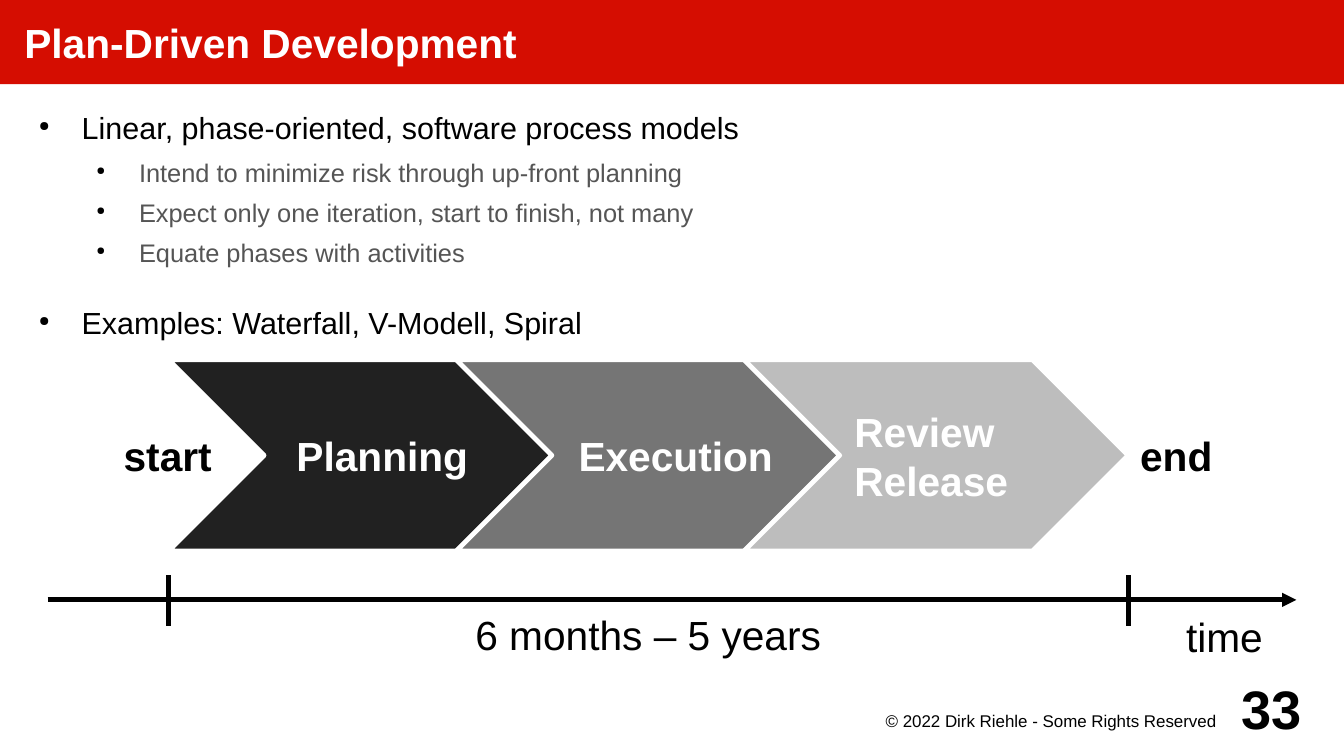
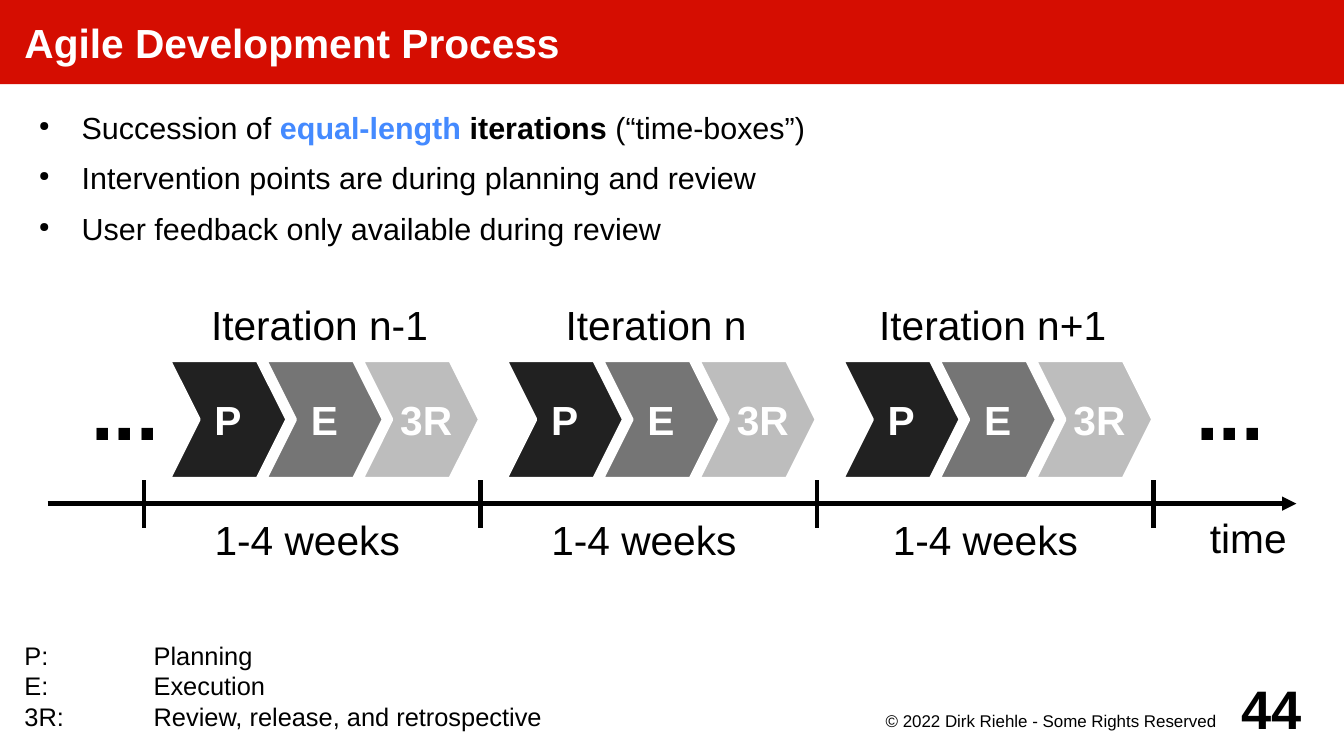
from dataclasses import dataclass
from typing import Any

from lxml import etree
from pptx import Presentation
from pptx.dml.color import RGBColor
from pptx.enum.shapes import MSO_CONNECTOR as Connector, MSO_SHAPE as Preset
from pptx.enum.text import MSO_ANCHOR as Anchor, PP_ALIGN as Align
from pptx.oxml.ns import qn
from pptx.util import Inches, Pt

COLORS = {
    "band": "D50D01",
    "white": "FFFFFF",
    "black": "000000",
    "detail": "555555",
    "accent": "448AFF",
    "planning": "212121",
    "execution": "757575",
    "review": "BDBDBD",
}
FONT = "Arial"
WIDTH, HEIGHT = 11.02, 6.2
AXIS_LEFT, AXIS_RIGHT = 0.39, 10.63
CHEVRON_TOP = 2.95
PAD = (0.08, 0.08, 0.08, 0.08)
LABEL_PAD = (0, 0.08, 0.08, 0.08)


@dataclass(frozen=True)
class Area:
    left: float
    top: float
    width: float
    height: float

    def lengths(self) -> list[Any]:
        return [Inches(n) for n in (self.left, self.top, self.width, self.height)]


@dataclass(frozen=True)
class Style:
    size: float = 24
    color: str = "black"
    bold: bool = False
    align: Any = Align.CENTER
    anchor: Any = Anchor.MIDDLE
    insets: tuple[float, float, float, float] = PAD


@dataclass(frozen=True)
class Phase:
    label: str
    color: str
    indent: float = 0.08
    align: Any = Align.CENTER


@dataclass(frozen=True)
class Span:
    text: str
    color: str = "black"
    bold: bool = False


@dataclass(frozen=True)
class Bullet:
    spans: tuple[Span, ...]
    detail: bool = False
    before: float | None = None


LABEL = Style()
STRONG = Style(bold=True)
ITERATION = Style(insets=LABEL_PAD)
DOTS = Style(size=48, bold=True, insets=(0.08, 0.08, 0, 0.08))


def color_of(name: str) -> RGBColor:
    return RGBColor.from_string(COLORS[name])


def set_font(font: Any, size: float, color: str, bold: bool = False) -> None:
    font.name, font.size, font.bold = FONT, Pt(size), bold
    font.color.rgb = color_of(color)


def write(shape: Any, text: str, style: Style, wrap: bool = True) -> Any:
    frame = shape.text_frame
    frame.word_wrap = wrap
    frame.vertical_anchor = style.anchor
    (frame.margin_left, frame.margin_top,
     frame.margin_right, frame.margin_bottom) = map(Inches, style.insets)
    frame.text = text
    for para in frame.paragraphs:
        para.alignment = style.align
        for span in para.runs:
            set_font(span.font, style.size, style.color, style.bold)
    return frame


def add_text(page: Any, area: Area, text: str, style: Style = LABEL) -> Any:
    return write(page.shapes.add_textbox(*area.lengths()), text, style)


def add_filled(page: Any, preset: Any, area: Area, color: str) -> Any:
    shape = page.shapes.add_shape(preset, *area.lengths())
    shape.shadow.inherit = False
    shape.fill.solid()
    shape.fill.fore_color.rgb = color_of(color)
    shape.line.fill.background()
    return shape


def add_line(page: Any, start: tuple[float, float], end: tuple[float, float],
             arrow: bool = False) -> None:
    line = page.shapes.add_connector(
        Connector.STRAIGHT, *map(Inches, (*start, *end)))
    line.line.color.rgb = color_of("black")
    line.line.width = Pt(2.83)
    props = line._element.spPr
    if arrow:
        etree.SubElement(props.find(qn("a:ln")), qn("a:tailEnd"), type="triangle")
    etree.SubElement(props, qn("a:effectLst"))


def add_timeline(page: Any, y: float, ticks: list[float], tick_top: float,
                 tick_bottom: float) -> None:
    add_line(page, (AXIS_LEFT, y), (AXIS_RIGHT, y), arrow=True)
    for x in ticks:
        add_line(page, (x, tick_top), (x, tick_bottom))


def add_phases(page: Any, left: float, step: float, width: float, height: float,
               notch: float, phases: list[Phase]) -> None:
    """Draw a row of chevrons; notch is the point's depth as a share of the height."""
    for index, phase in enumerate(phases):
        area = Area(left + index * step, CHEVRON_TOP, width, height)
        chevron = add_filled(page, Preset.CHEVRON, area, phase.color)
        chevron.adjustments[0] = notch
        chevron.line.color.rgb = color_of("white")
        chevron.line.width = Pt(2.83)
        style = Style(color="white", bold=True, align=phase.align,
                      insets=(phase.indent, 0.08, 0.08, 0.08))
        write(chevron, phase.label, style, wrap=False)


def mark_bullet(para: Any, margin: float) -> None:
    props = para._p.get_or_add_pPr()
    props.set("marL", str(Inches(margin)))
    props.set("indent", str(Inches(-0.35)))
    color = etree.SubElement(props, qn("a:buClr"))
    etree.SubElement(color, qn("a:srgbClr"), val=COLORS["black"])
    etree.SubElement(props, qn("a:buSzPct"), val="45000")
    etree.SubElement(props, qn("a:buChar"), char="●")


def add_bullets(page: Any, bullets: list[Bullet]) -> None:
    box = page.shapes.add_textbox(*Area(0.2, 0.89, 10.63, 1.95).lengths())
    frame = box.text_frame
    frame.word_wrap = True
    frame.margin_left = frame.margin_top = frame.margin_right = frame.margin_bottom = 0
    for index, bullet in enumerate(bullets):
        para = frame.add_paragraph() if index else frame.paragraphs[0]
        size, gap, margin = (15, 2.8, 0.94) if bullet.detail else (18, 4.2, 0.47)
        if index:
            para.space_before = Pt(gap if bullet.before is None else bullet.before)
        para.space_after = Pt(gap)
        mark_bullet(para, margin)
        for part in bullet.spans:
            span = para.add_run()
            span.text = part.text
            set_font(span.font, size, part.color, part.bold)


def point(text: str, before: float | None = None) -> Bullet:
    return Bullet((Span(text),), before=before)


def detail(text: str) -> Bullet:
    return Bullet((Span(text, "detail"),), detail=True)


def add_page(deck: Any, title: str, number: int) -> Any:
    page = deck.slides.add_slide(deck.slide_layouts[6])
    band = add_filled(page, Preset.RECTANGLE, Area(0, 0, WIDTH, 0.69), "band")
    write(band, title, Style(color="white", bold=True, align=Align.LEFT,
                             insets=(0.2, 0, 0, 0)))
    add_text(page, Area(6.9, 5.81, 3.15, 0.3),
             "© 2022 Dirk Riehle - Some Rights Reserved",
             Style(size=10, align=Align.RIGHT, anchor=Anchor.TOP,
                   insets=(0, 0.02, 0.08, 0)))
    add_text(page, Area(9.88, 5.51, 0.79, 0.59), str(number),
             Style(size=32, bold=True, align=Align.RIGHT, insets=(0, 0, 0, 0)))
    return page


def build_plan_driven(deck: Any) -> None:
    page = add_page(deck, "Plan-Driven Development", 33)
    add_bullets(page, [
        point("Linear, phase-oriented, software process models"),
        detail("Intend to minimize risk through up-front planning"),
        detail("Expect only one iteration, start to finish, not many"),
        detail("Equate phases with activities"),
        point("Examples: Waterfall, V-Modell, Spiral", before=19),
    ])
    for left, text in ((0.39, "start"), (8.66, "end")):
        add_text(page, Area(left, CHEVRON_TOP, 1.97, 1.57), text, STRONG)
    add_phases(page, 1.38, 2.36, 3.15, 1.57, 0.5, [
        Phase("Planning", "planning", 0.44),
        Phase("Execution", "execution", 0.53),
        Phase("Review\nRelease", "review", 0.12, Align.LEFT),
    ])
    add_timeline(page, 4.92, [1.38, 9.25], 4.72, 5.13)
    add_text(page, Area(1.38, 4.9, 7.87, 0.61), "6 months – 5 years")
    add_text(page, Area(9.45, 4.92, 1.18, 0.59), "time")


def build_agile(deck: Any) -> None:
    page = add_page(deck, "Agile Development Process", 44)
    add_bullets(page, [
        Bullet((Span("Succession of "), Span("equal-length ", "accent", True),
                Span("iterations ", bold=True), Span("(“time-boxes”)"))),
        point("Intervention points are during planning and review"),
        point("User feedback only available during review"),
    ])
    axis, first_tick, pitch = 4.13, 1.18, 2.76
    phases = [Phase("P", "planning"), Phase("E", "execution"),
              Phase("3R", "review", 0.17)]
    names = ["Iteration n-1", "Iteration n", "Iteration n+1"]
    for index, name in enumerate(names):
        tick = first_tick + index * pitch
        left = tick + 0.2
        add_text(page, Area(left, 2.36, 2.56, 0.59), name, ITERATION)
        add_phases(page, left, 0.79, 0.98, 0.98, 0.25, phases)
        last = index == len(names) - 1
        add_text(page, Area(tick, axis, pitch, 0.59), "1-4 weeks",
                 LABEL if last else ITERATION)
    ticks = [first_tick + index * pitch for index in range(len(names) + 1)]
    add_timeline(page, axis, ticks, 3.94, 4.33)
    for left in (0.59, 9.65):
        add_text(page, Area(left, 2.76, 0.79, 1.18), "...", DOTS)
    add_text(page, Area(9.45, axis, 1.18, 0.59), "time",
             Style(align=Align.RIGHT, anchor=Anchor.TOP))
    add_legend(page, [("P:", "Planning"), ("E:", "Execution"),
                      ("3R:", "Review, release, and retrospective")])


def add_legend(page: Any, entries: list[tuple[str, str]]) -> None:
    text = "\n".join(f"{key}\t{meaning}" for key, meaning in entries)
    frame = add_text(page, Area(0, 4.63, 7.09, 1.57), text,
                     Style(size=15, align=Align.LEFT, anchor=Anchor.BOTTOM,
                           insets=(0.2, 0.2, 0.2, 0.2)))
    for para in frame.paragraphs:
        tabs = etree.SubElement(para._p.get_or_add_pPr(), qn("a:tabLst"))
        etree.SubElement(tabs, qn("a:tab"), pos=str(Inches(1.06)), algn="l")


def main() -> None:
    deck = Presentation()
    deck.slide_width, deck.slide_height = Inches(WIDTH), Inches(HEIGHT)
    build_plan_driven(deck)
    build_agile(deck)
    deck.save("out.pptx")


if __name__ == "__main__":
    main()
